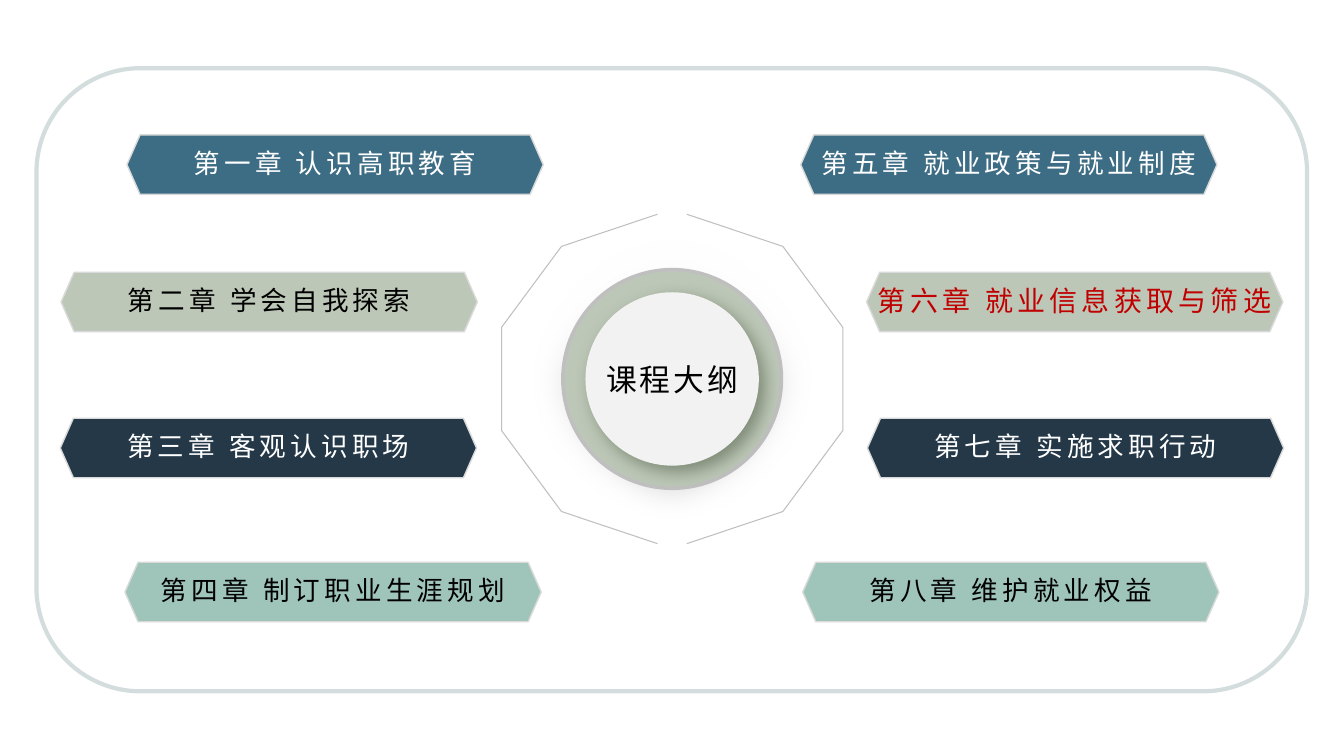
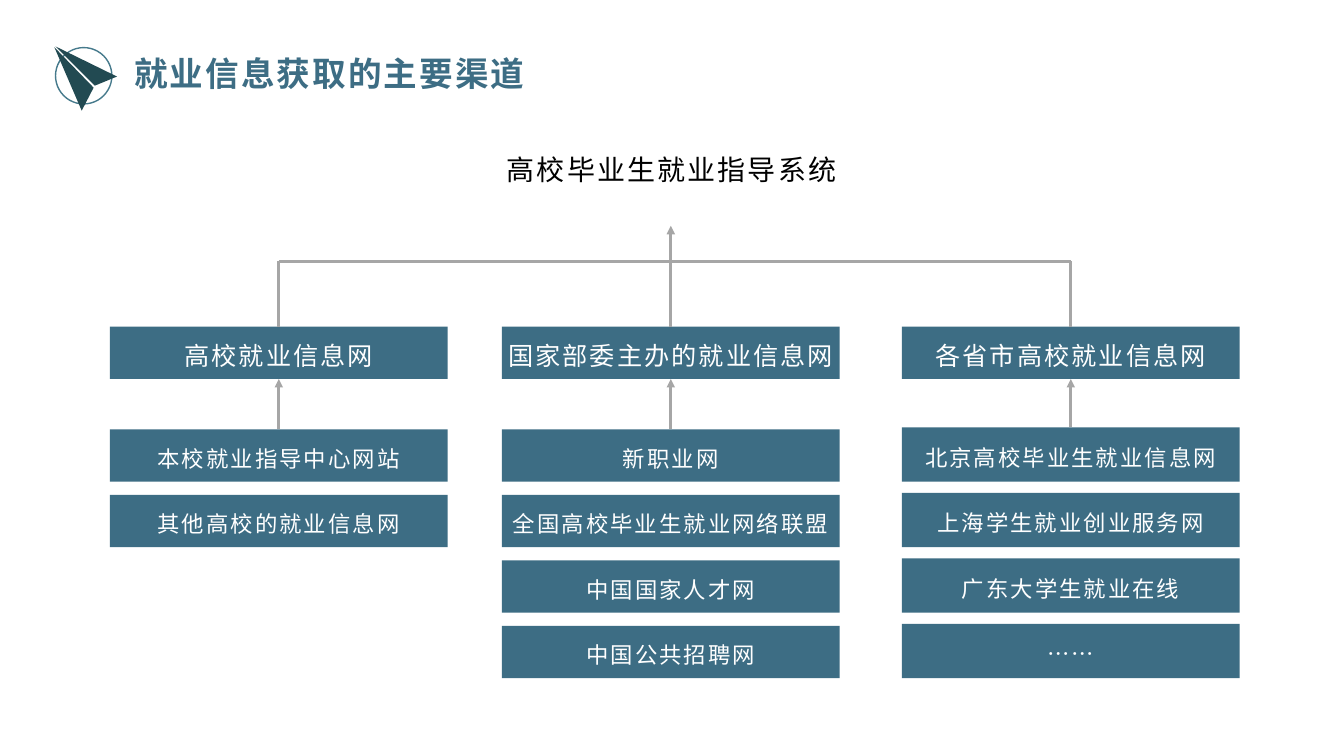
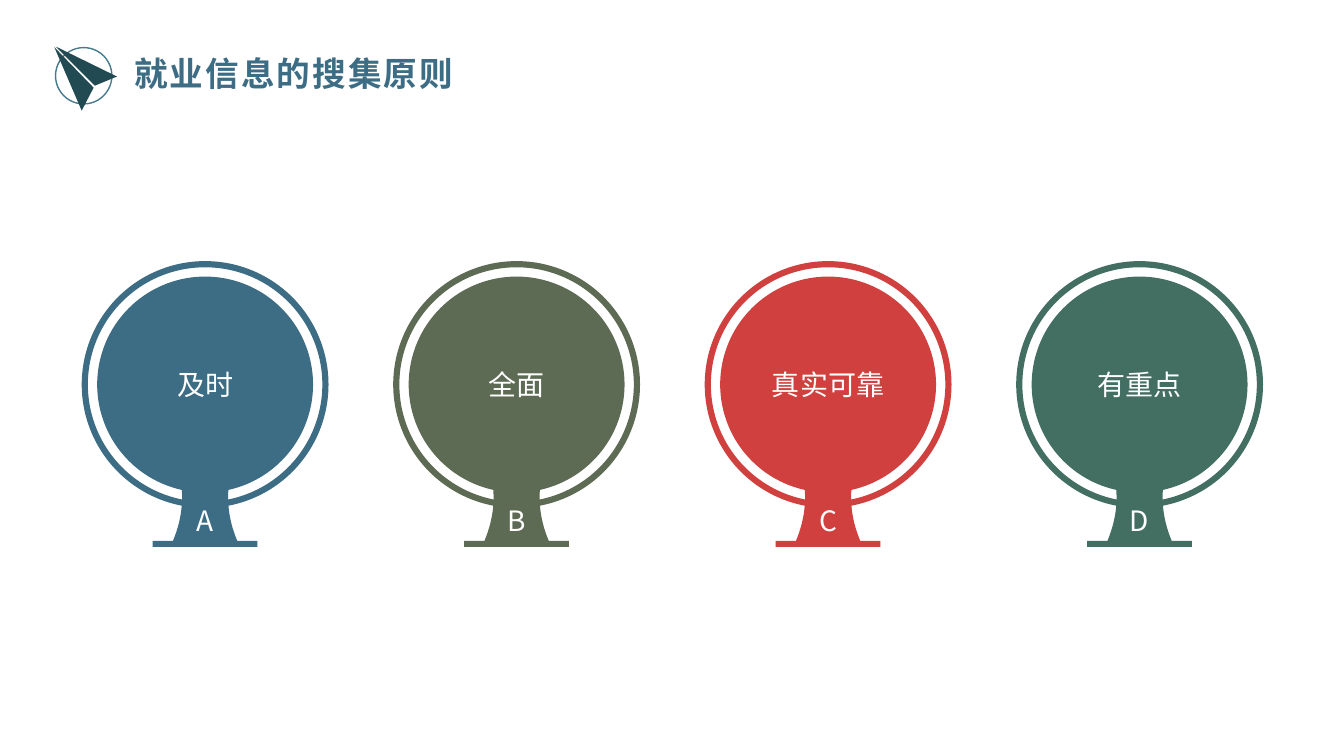
from lxml.etree import SubElement
from pptx import Presentation
from pptx.dml.color import RGBColor
from pptx.enum.shapes import MSO_CONNECTOR, MSO_SHAPE as SHAPE
from pptx.enum.text import MSO_ANCHOR as ANCHOR, MSO_AUTO_SIZE, PP_ALIGN as ALIGN
from pptx.oxml.ns import qn
from pptx.util import Cm, Pt

FONT = "Noto Sans CJK SC"
WIDTH, HEIGHT = 33.87, 19.05
COLORS = {
    "white": "FFFFFF", "black": "000000", "alert": "C00000",
    "blue": "3D6D84", "sage": "BDC7B7", "navy": "243848", "mint": "9FC5BB",
    "olive": "5D6B54", "red": "CF403E", "green": "436F63",
    "frame": "D4DDDE", "edge": "D9D9D9", "rim": "BFBFBF", "hub": "F2F2F2",
    "arrow": "A6A6A6", "ring": "467A8C", "plane": "224A52",
}

OUTLINE_TITLE = "课程大纲"
CHAPTER_ROWS = [
    (3.2, 3.4, "blue", ("第一章 认识高职教育", "white", 19), ("第五章 就业政策与就业制度", "white", 19)),
    (1.54, 6.86, "sage", ("第二章 学会自我探索", "black", 19), ("第六章 就业信息获取与筛选", "alert", 20)),
    (1.52, 10.54, "navy", ("第三章 客观认识职场", "white", 19), ("第七章 实施求职行动", "white", 19)),
    (3.15, 14.17, "mint", ("第四章 制订职业生涯规划", "black", 19), ("第八章 维护就业权益", "black", 19)),
]
PLATE_W, PLATE_H = 10.49, 1.5
HUB_X, HUB_Y = 16.94, 9.55
DECAGON_QUARTER = [(0.37, 4.15), (2.79, 3.34), (4.3, 1.3)]

CHANNELS_TITLE = "就业信息获取的主要渠道"
SYSTEM = "高校毕业生就业指导系统"
CHANNELS = [
    (2.77, 1.32, "高校就业信息网", ["本校就业指导中心网站", "其他高校的就业信息网"]),
    (12.65, 1.32, "国家部委主办的就业信息网",
     ["新职业网", "全国高校毕业生就业网络联盟", "中国国家人才网", "中国公共招聘网"]),
    (22.73, 1.37, "各省市高校就业信息网",
     ["北京高校毕业生就业信息网", "上海学生就业创业服务网", "广东大学生就业在线", "……"]),
]
CHANNEL_W, HEAD_TOP, HEAD_H = 8.51, 8.23, 1.32
SITE_BOTTOM, SITE_PITCH = 12.14, 1.65
BUS_Y, ARROW_TIP_Y = 6.58, 5.69

PRINCIPLES_TITLE = "就业信息的搜集原则"
PRINCIPLES = [("A", "及时", "blue"), ("B", "全面", "olive"), ("C", "真实可靠", "red"), ("D", "有重点", "green")]
SIGN_X, SIGN_Y, SIGN_PITCH = 5.17, 9.69, 7.85
STAND_Y, STAND_HALF, STAND_STEPS = 12.53, 1.1, 10

PLANE = [
    [(2.95, 1.93), (2.39, 2.16), (1.4, 1.17)],
    [(2.36, 2.21), (2.06, 2.79), (1.37, 1.19)],
]


def rgb(name):
    return RGBColor.from_string(COLORS[name])


def style(shape, fill=None, line=None, width=1):
    shape.shadow.inherit = False
    if fill:
        shape.fill.solid()
        shape.fill.fore_color.rgb = rgb(fill)
    else:
        shape.fill.background()
    if line:
        shape.line.color.rgb = rgb(line)
        shape.line.width = Pt(width)
    else:
        shape.line.fill.background()
    return shape


def add_preset(shapes, kind, left, top, width, height, *look):
    return style(shapes.add_shape(kind, Cm(left), Cm(top), Cm(width), Cm(height)), *look)


def add_circle(shapes, x, y, size, *look, kind=SHAPE.OVAL):
    return add_preset(shapes, kind, x - size / 2, y - size / 2, size, size, *look)


def add_outline(shapes, contours, *look, close=True):
    scaled = [[(Cm(x), Cm(y)) for x, y in contour] for contour in contours]
    builder = shapes.build_freeform(*scaled[0][0])
    for index, (start, *rest) in enumerate(scaled):
        if index:
            builder.move_to(*start)
        builder.add_line_segments(rest, close=close)
    return style(builder.convert_to_shape(), *look)


def add_line(shapes, start, end, arrow=False):
    line = shapes.add_connector(MSO_CONNECTOR.STRAIGHT, *(Cm(v) for v in (*start, *end)))
    line.line.color.rgb = rgb("arrow")
    line.line.width = Pt(2)
    properties = line._element.spPr
    if arrow:
        SubElement(properties.find(qn("a:ln")), qn("a:tailEnd"), type="triangle")
    SubElement(properties, qn("a:effectLst"))
    return line


def add_effect(shape, tag, **attributes):
    effects = shape._element.spPr.find(qn("a:effectLst"))
    return SubElement(effects, qn(tag), **attributes)


def write(shape, text, size, color, spacing=0, bold=False, align=ALIGN.CENTER,
          anchor=ANCHOR.MIDDLE, wrap=False, line_spacing=1.0, bottom=0):
    frame = shape.text_frame
    frame.auto_size = MSO_AUTO_SIZE.NONE
    frame.word_wrap = wrap
    frame.vertical_anchor = anchor
    frame.margin_left = frame.margin_right = frame.margin_top = 0
    frame.margin_bottom = Cm(bottom)
    frame.text = text
    paragraph = frame.paragraphs[0]
    paragraph.alignment = align
    paragraph.line_spacing = line_spacing
    font = paragraph.font
    font.size, font.bold, font.name = Pt(size), bold, FONT
    font.color.rgb = rgb(color)
    SubElement(font._rPr, qn("a:ea"), typeface=FONT)
    font._rPr.set("spc", str(int(spacing * 100)))


def place(shape, left, top, width, height):
    shape.left, shape.top, shape.width, shape.height = (Cm(v) for v in (left, top, width, height))


def add_slide(deck):
    return deck.slides.add_slide(deck.slide_layouts[5])


def add_titled_slide(deck, text):
    slide = add_slide(deck)
    title = slide.shapes.title
    place(title, 3.38, 1.2, 16.94, 1.3)
    write(title, text, 24, "blue", 1.5, True, ALIGN.LEFT, wrap=True)
    icon = slide.shapes.add_group_shape().shapes
    add_circle(icon, 2.11, 1.91, 1.42, None, "ring")
    add_outline(icon, PLANE, "plane")
    return slide.shapes


def build_outline(deck):
    shapes = add_slide(deck).shapes
    glow = add_circle(shapes, HUB_X, HUB_Y, 7.39)
    glow.fill.gradient()
    glow.fill.gradient_angle = 270
    for stop, color in zip(glow.fill.gradient_stops, ("white", "rim")):
        stop.color.rgb = rgb(color)
    add_effect(glow, "a:softEdge", rad=str(Pt(25)))
    add_circle(shapes, HUB_X, HUB_Y, 5.51, "sage", "rim", 2.5)
    hub = add_circle(shapes, HUB_X, HUB_Y, 4.37, "hub")
    shadow = add_effect(hub, "a:outerShdw", blurRad=str(Pt(12)), dist=str(Pt(6)), dir="2700000")
    tint = SubElement(shadow, qn("a:srgbClr"), val=COLORS["olive"])
    SubElement(tint, qn("a:alpha"), val="64000")

    upper = [(x, -y) for x, y in DECAGON_QUARTER]
    for side in (1, -1):
        half = [(HUB_X + side * x, HUB_Y + y) for x, y in upper + DECAGON_QUARTER[::-1]]
        add_outline(shapes, [half], None, "rim", 0.75, close=False)

    for left, top, color, *chapters in CHAPTER_ROWS:
        for x, (text, ink, size) in zip((left, WIDTH - left - PLATE_W), chapters):
            plate = add_preset(shapes, SHAPE.HEXAGON, x, top, PLATE_W, PLATE_H, color, "edge")
            plate.adjustments[0] = 0.22
            write(plate, text, size, ink, 3, bottom=0.1)
    add_preset(shapes, SHAPE.ROUNDED_RECTANGLE, 0.92, 1.72, 32.02, 15.7, None, "frame", 3)

    title = shapes.title
    place(title, HUB_X - 2.29, HUB_Y - 0.5, 4.58, 1)
    write(title, OUTLINE_TITLE, 22, "black", 2)
    shapes._spTree.append(title._element)


def build_channels(deck):
    shapes = add_titled_slide(deck, CHANNELS_TITLE)
    system = shapes.add_textbox(Cm(11.63), Cm(3.71), Cm(10.59), Cm(1.12))
    write(system, SYSTEM, 20, "black", 1.5)

    def add_box(left, top, height, text, size):
        box = add_preset(shapes, SHAPE.RECTANGLE, left, top, CHANNEL_W, height, "blue")
        write(box, text, size, "white", 1.5, line_spacing=1.2)
        return box

    centers = [left + CHANNEL_W / 2 for left, *_ in CHANNELS]
    for center, (left, height, channel, sites) in zip(centers, CHANNELS):
        head = add_box(left, HEAD_TOP, HEAD_H, channel, 18)
        first, *_ = [
            add_box(left, SITE_BOTTOM - height + row * SITE_PITCH, height, site, 16)
            for row, site in enumerate(sites)
        ]
        feed = add_line(shapes, (center, SITE_BOTTOM - height), (center, HEAD_TOP + HEAD_H), True)
        feed.begin_connect(first, 0)
        feed.end_connect(head, 2)
        add_line(shapes, (center, HEAD_TOP), (center, BUS_Y)).begin_connect(head, 0)
    add_line(shapes, (centers[0], BUS_Y), (centers[-1], BUS_Y))
    add_line(shapes, (centers[1], BUS_Y), (centers[1], ARROW_TIP_Y), True)


def build_principles(deck):
    shapes = add_titled_slide(deck, PRINCIPLES_TITLE)
    heights = [STAND_HALF * step / STAND_STEPS for step in range(-STAND_STEPS, STAND_STEPS + 1)]
    right_side = [(0.58 + 0.19 * y * y, y) for y in heights]
    left_side = [(-x, y) for x, y in reversed(right_side)]
    for index, (letter, principle, color) in enumerate(PRINCIPLES):
        x = SIGN_X + index * SIGN_PITCH
        sign = shapes.add_group_shape().shapes
        rim = add_circle(sign, x, SIGN_Y, 6.22, color, kind=SHAPE.DONUT)
        rim.adjustments[0] = 0.025
        stand = add_outline(sign, [[(x + dx, STAND_Y + dy) for dx, dy in right_side + left_side]], color)
        write(stand, letter, 20, "white", anchor=ANCHOR.BOTTOM, bottom=0.1)
        write(add_circle(sign, x, SIGN_Y, 5.44, color), principle, 20, "white")
        add_preset(sign, SHAPE.RECTANGLE, x - 1.32, STAND_Y + STAND_HALF, 2.64, 0.15, color)


def main():
    """Build the three slides on career information."""
    deck = Presentation()
    deck.slide_width, deck.slide_height = Cm(WIDTH), Cm(HEIGHT)
    build_outline(deck)
    build_channels(deck)
    build_principles(deck)
    deck.save("out.pptx")


if __name__ == "__main__":
    main()
